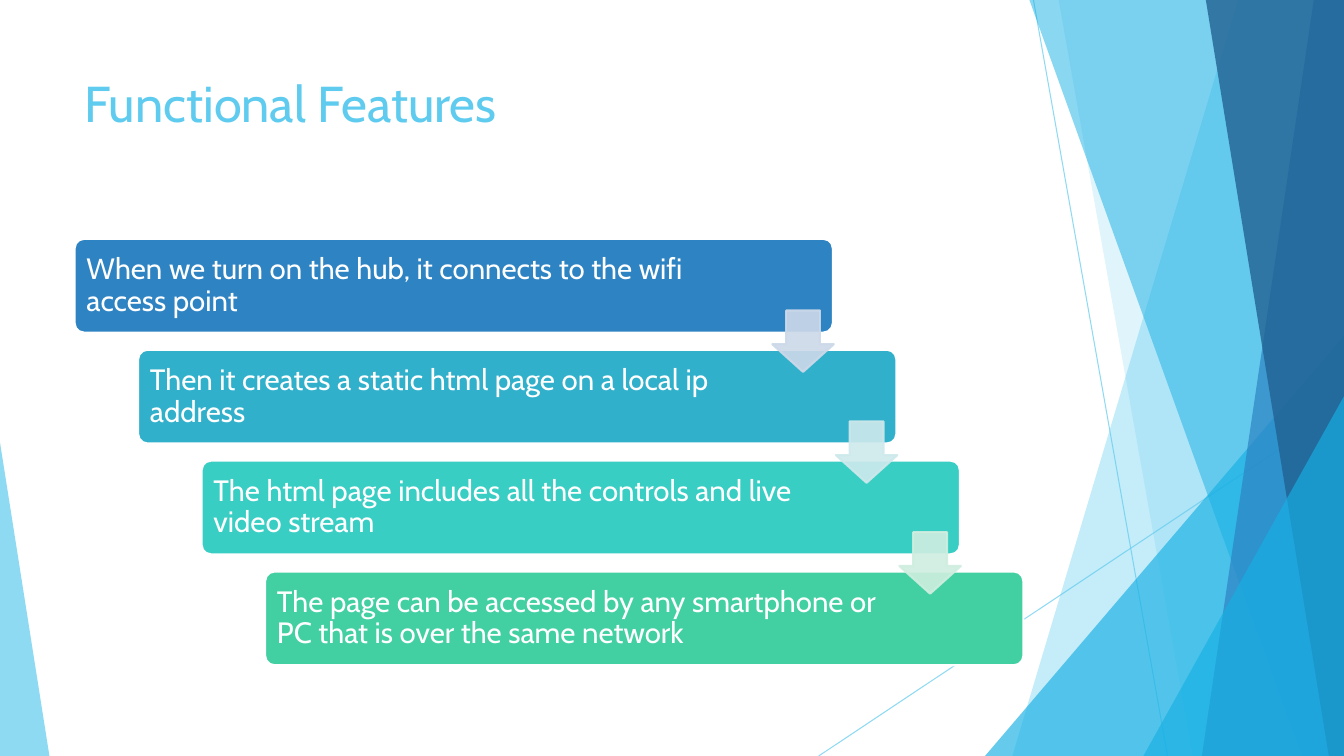
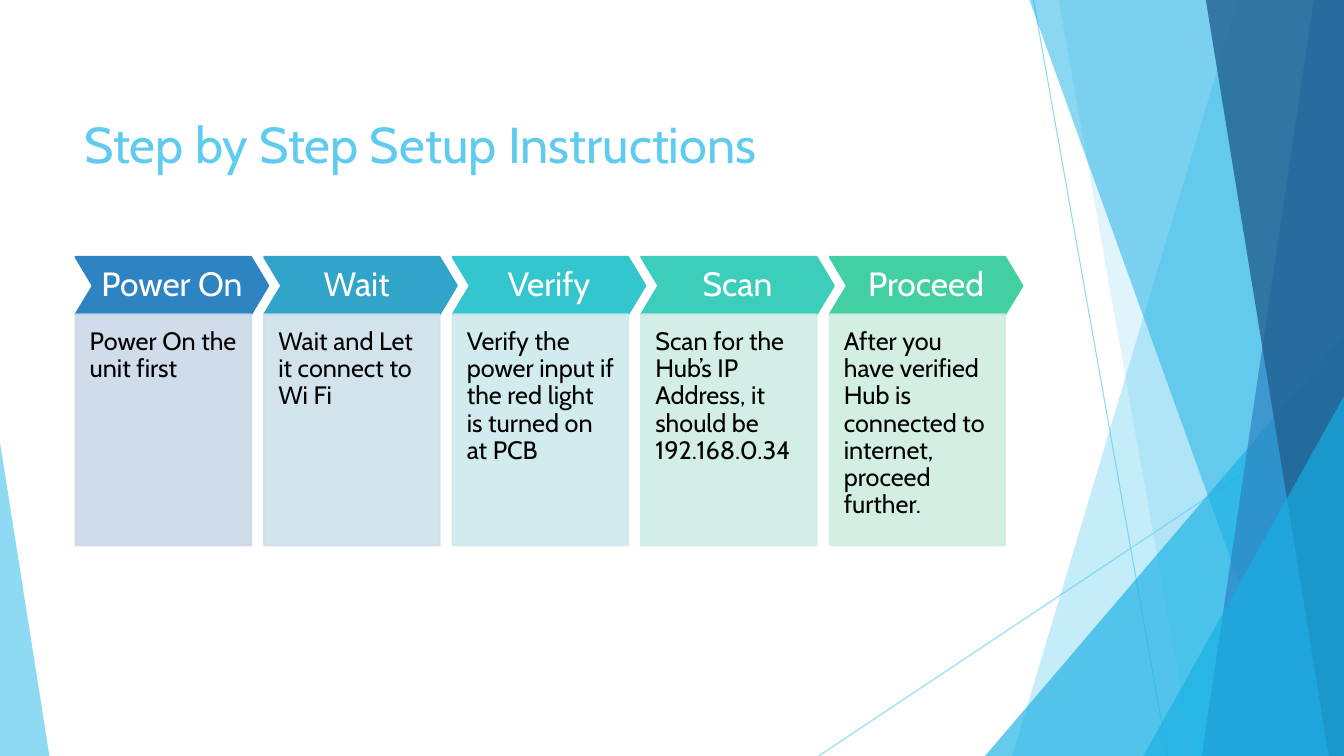
from lxml.etree import SubElement
from pptx import Presentation
from pptx.dml.color import RGBColor
from pptx.enum.shapes import MSO_CONNECTOR, MSO_SHAPE
from pptx.enum.text import MSO_ANCHOR, PP_ALIGN
from pptx.oxml.ns import qn
from pptx.util import Inches, Pt

FONT = "Cabin"
WIDE, HIGH = 13.33, 7.5
WHITE = RGBColor(0xFF, 0xFF, 0xFF)
BLACK = RGBColor(0x00, 0x00, 0x00)
SKY = RGBColor(0x5F, 0xCB, 0xEF)
AZURE = RGBColor(0x17, 0xB0, 0xE4)
BLUE = RGBColor(0x2E, 0x83, 0xC3)
NAVY = RGBColor(0x22, 0x62, 0x92)
CYAN = RGBColor(0x31, 0xB0, 0xCB)
OCEAN = RGBColor(0x30, 0xA4, 0xC9)
AQUA = RGBColor(0x39, 0xCE, 0xC4)
TEAL = RGBColor(0x34, 0xC6, 0xCE)
JADE = RGBColor(0x3B, 0xCF, 0xBB)
GREEN = RGBColor(0x42, 0xD0, 0xA2)
PALE_BLUE = RGBColor(0xCD, 0xD9, 0xE9)
PALE_OCEAN = RGBColor(0xCE, 0xE1, 0xEB)
PALE_TEAL = RGBColor(0xCE, 0xE9, 0xEC)
PALE_JADE = RGBColor(0xCF, 0xED, 0xE7)
PALE_GREEN = RGBColor(0xCF, 0xEE, 0xE0)

RAYS = [((10.25, 0), (11.58, HIGH)), ((WIDE, 4.03), (8.12, HIGH))]
BACK_BANDS = [(12.28, 10.04, SKY, 36), (10.5, 11.83, SKY, 20)]
FRONT_BANDS = [
    (10.21, 12.91, AZURE, 50),
    (13.03, 11.92, BLUE, 70),
    (11.96, 13.18, NAVY, 80),
]

FEATURES = [
    ("When we turn on the hub, it connects to the wifi access point", BLUE, 1.12),
    ("Then it creates a static html page on a local ip address", CYAN, 1.32),
    ("The html page includes all the controls and live video stream", AQUA, 1.32),
    ("The page can be accessed by any smartphone or PC that is over the same network",
     GREEN, 1.32),
]
ARROWS = [PALE_BLUE, PALE_TEAL, PALE_GREEN]
STEPS = [
    ("Power On", "Power On the unit first", BLUE, PALE_BLUE),
    ("Wait ", "Wait and Let it connect to Wi Fi", OCEAN, PALE_OCEAN),
    ("Verify", "Verify the power input if the red light is turned on at PCB",
     TEAL, PALE_TEAL),
    ("Scan", "Scan for the Hub’s IP Address, it should be 192.168.0.34",
     JADE, PALE_JADE),
    ("Proceed", "After you have verified Hub is connected to internet, proceed further.",
     GREEN, PALE_GREEN),
]


def fade(shape, alpha):
    for color in shape.element.spPr.iter(qn("a:srgbClr")):
        SubElement(color, qn("a:alpha")).set("val", str(alpha * 1000))


def paint(shape, fill, edge=None, alpha=100):
    shape.shadow.inherit = False
    shape.fill.solid()
    shape.fill.fore_color.rgb = fill
    if edge is None:
        shape.line.fill.background()
    else:
        shape.line.color.rgb = edge
        shape.line.width = Pt(1.5)
    if alpha < 100:
        fade(shape, alpha)


def add_form(slide, kind, box, fill, edge=None, alpha=100, adjust=()):
    shape = slide.shapes.add_shape(kind, *map(Inches, box))
    for index, value in enumerate(adjust):
        shape.adjustments[index] = value
    paint(shape, fill, edge, alpha)
    return shape


def add_band(slide, top, base, fill, alpha):
    points = [(WIDE, 0), (WIDE, HIGH), (base, HIGH)]
    outline = slide.shapes.build_freeform(Inches(top), 0)
    outline.add_line_segments([tuple(map(Inches, point)) for point in points])
    paint(outline.convert_to_shape(), fill, alpha=alpha)


def add_ray(slide, start, end):
    ray = slide.shapes.add_connector(
        MSO_CONNECTOR.STRAIGHT, *map(Inches, start + end))
    ray.line.color.rgb = SKY
    ray.line.width = Pt(0.75)
    fade(ray, 70)
    SubElement(ray.element.spPr, qn("a:effectLst"))


def add_peak(slide, box, fill, alpha, tip):
    add_form(slide, MSO_SHAPE.ISOSCELES_TRIANGLE, box, fill,
             alpha=alpha, adjust=[tip])


def write(shape, text, size, color, pads, anchor=MSO_ANCHOR.TOP,
          align=PP_ALIGN.LEFT, spacing=0.9):
    frame = shape.text_frame
    frame.word_wrap = True
    frame.vertical_anchor = anchor
    left, top, right, bottom = map(Inches, pads)
    frame.margin_left, frame.margin_top = left, top
    frame.margin_right, frame.margin_bottom = right, bottom
    para = frame.paragraphs[0]
    para.alignment = align
    para.line_spacing = spacing
    run = para.add_run()
    run.text = text
    run.font.name = FONT
    run.font.size = Pt(size)
    run.font.color.rgb = color


def add_scene(slide):
    for start, end in RAYS:
        add_ray(slide, start, end)
    for band in BACK_BANDS:
        add_band(slide, *band)
    add_peak(slide, (9.77, 3.33, 3.56, 4.17), AZURE, 66, 1)
    for band in FRONT_BANDS:
        add_band(slide, *band)
    add_peak(slide, (11.34, 3.93, 1.99, 3.57), AZURE, 66, 1)
    add_peak(slide, (0, 4.39, 0.49, 3.11), SKY, 70, 0)


def add_page(deck, title, top):
    slide = deck.slides.add_slide(deck.slide_layouts[6])
    add_scene(slide)
    box = slide.shapes.add_textbox(*map(Inches, (0.74, top, 9.4, 1.44)))
    write(box, title, 36, SKY, (0.1, 0.05, 0.1, 0.05), spacing=1.0)
    return slide


def add_stairs(slide):
    shift, drop = 0.63, 1.1
    for index, (text, fill, right) in enumerate(FEATURES):
        box = (0.74 + index * shift, 2.37 + index * drop, 7.52, 0.93)
        bar = add_form(slide, MSO_SHAPE.ROUNDED_RECTANGLE, box, fill, WHITE,
                       adjust=[0.1])
        write(bar, text, 21, WHITE, (0.09, 0.09, right, 0.09), MSO_ANCHOR.MIDDLE)
    for index, fill in enumerate(ARROWS):
        box = (7.66 + index * shift, 3.08 + index * drop, 0.61, 0.61)
        add_form(slide, MSO_SHAPE.DOWN_ARROW, box, fill, fill, 90, [0.55, 0.45])


def add_steps(slide):
    for index, (name, text, fill, pale) in enumerate(STEPS):
        left = 0.75 + index * 1.87
        head = add_form(slide, MSO_SHAPE.CHEVRON, (left, 2.55, 1.91, 0.57),
                        fill, fill, adjust=[0.3])
        write(head, name, 24, WHITE, (0.05, 0.07, 0.05, 0.07),
              MSO_ANCHOR.MIDDLE, PP_ALIGN.CENTER)
        card = add_form(slide, MSO_SHAPE.RECTANGLE, (left, 3.12, 1.74, 2.29),
                        pale, pale, 90)
        write(card, text, 18, BLACK, (0.14, 0.14, 0.14, 0.28))


def main():
    deck = Presentation()
    deck.slide_width, deck.slide_height = Inches(WIDE), Inches(HIGH)
    add_stairs(add_page(deck, "Functional Features", 0.67))
    add_steps(add_page(deck, "Step by Step Setup Instructions", 1.07))
    deck.save("out.pptx")


if __name__ == "__main__":
    main()
